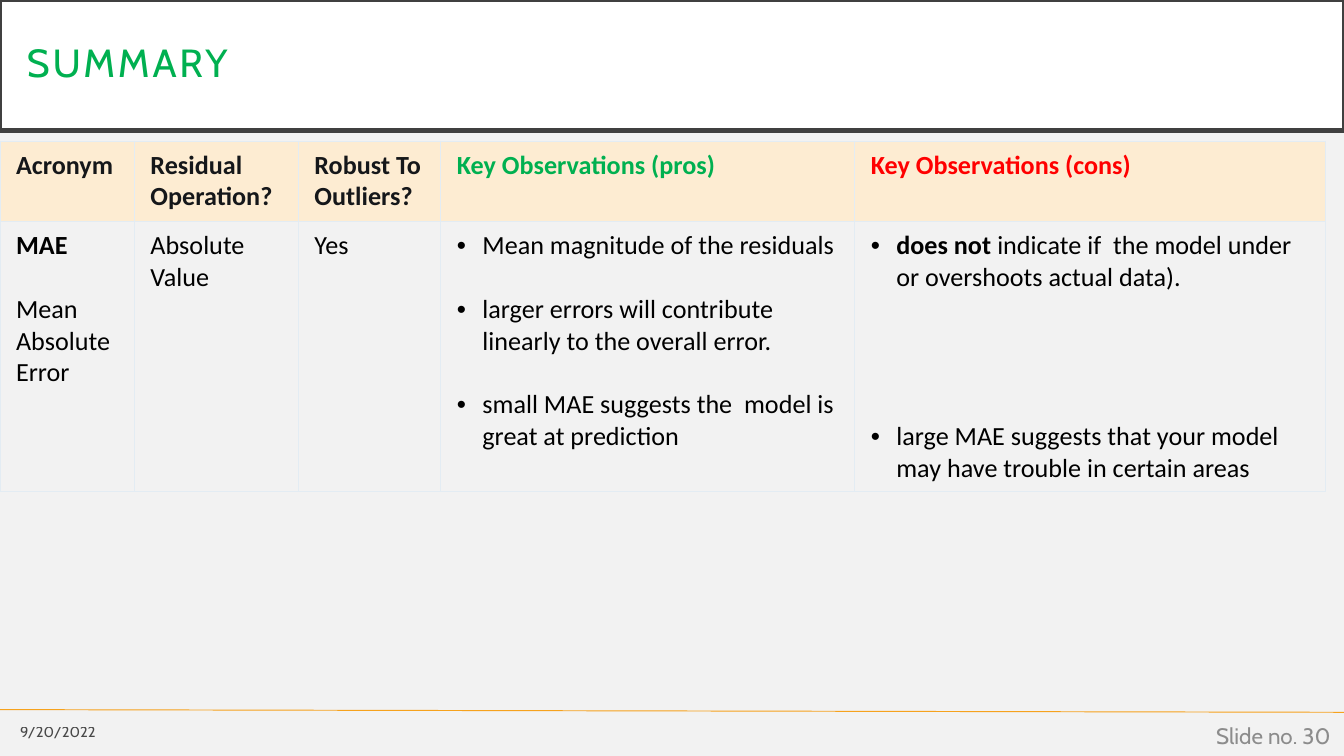
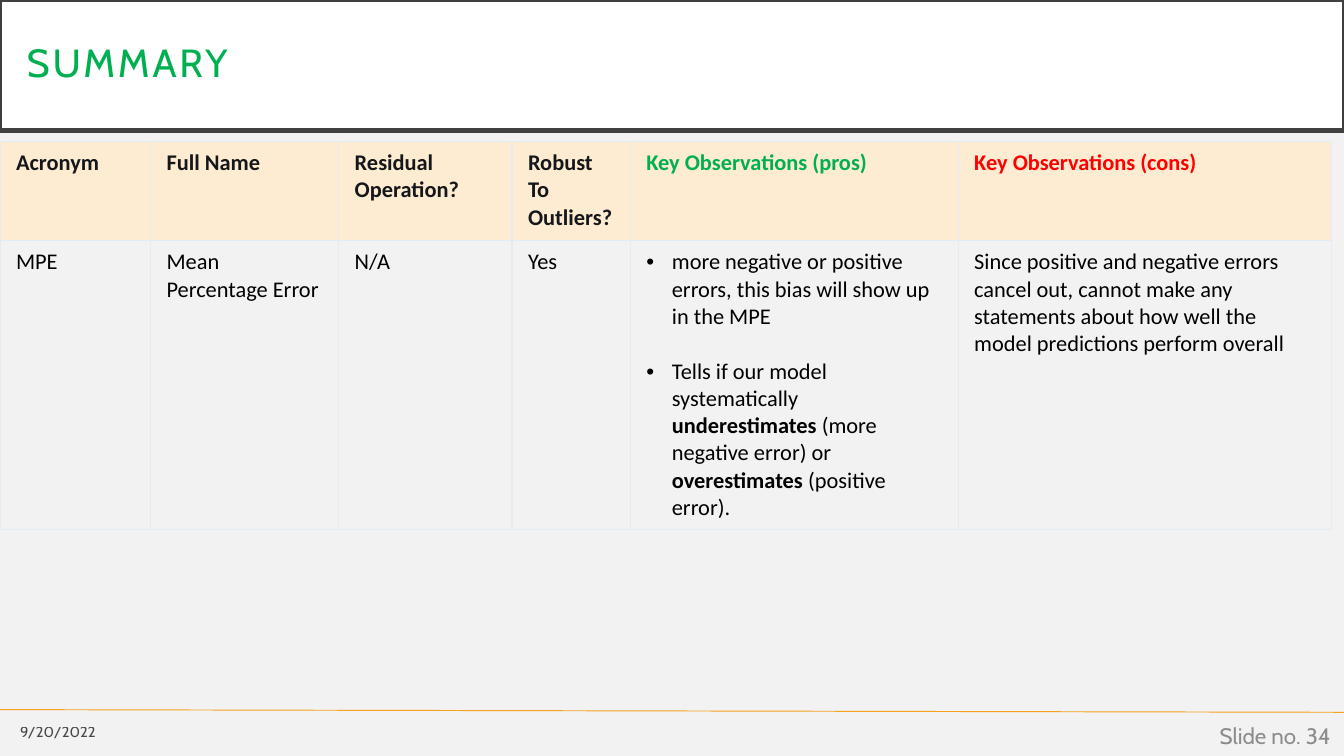
from dataclasses import dataclass

from lxml import etree
from pptx import Presentation
from pptx.dml.color import RGBColor
from pptx.enum.shapes import MSO_CONNECTOR
from pptx.enum.text import MSO_ANCHOR, MSO_AUTO_SIZE, PP_ALIGN
from pptx.oxml.ns import qn
from pptx.util import Inches, Pt

STRAIGHT = MSO_CONNECTOR.STRAIGHT
TOP, MIDDLE = MSO_ANCHOR.TOP, MSO_ANCHOR.MIDDLE
LEFT, RIGHT = PP_ALIGN.LEFT, PP_ALIGN.RIGHT
NO_AUTOFIT = MSO_AUTO_SIZE.NONE
TITLE_ONLY = 5

SLIDE_WIDTH = 10
SLIDE_HEIGHT = SLIDE_WIDTH * 9 / 16
DISPLAY_FONT, TABLE_FONT = "Cabin", "Calibri"
LINE_PITCH = 1.22  # height of a table line relative to its font size
COLORS = {
    "background": "F2F2F2",
    "band": "FFFFFF",
    "band_line": "404040",
    "pros": "00B050",
    "cons": "FF0000",
    "rule": "F6A21D",
    "date": "000000",
    "number": "8C8C8C",
    "header": "FDECD2",
    "header_text": "15171A",
    "text": "000000",
    "border": "E3ECF3",
}


@dataclass
class Entry:
    """A paragraph in a table cell; **marks** set bold, gap counts empty lines above."""
    text: str
    bullet: bool = False
    gap: int = 0


def color(name):
    return RGBColor.from_string(COLORS[name])


def format_run(run, font_name, size, color_name, bold=False):
    run.font.name = font_name
    run.font.size = Pt(size)
    run.font.bold = bold
    run.font.color.rgb = color(color_name)


def add_title_band(slide, text, box):
    title = slide.shapes.title
    title.left, title.top, title.width, title.height = map(Inches, box)
    title.fill.solid()
    title.fill.fore_color.rgb = color("band")
    title.line.color.rgb = color("band_line")
    title.line.width = Pt(2.5)
    frame = title.text_frame
    frame.text = text
    frame.word_wrap = True
    frame.auto_size = NO_AUTOFIT
    frame.vertical_anchor = MIDDLE
    frame.margin_left = frame.margin_right = Inches(0.2)
    frame.margin_top = frame.margin_bottom = Inches(0.2)
    paragraph = frame.paragraphs[0]
    paragraph.alignment = LEFT
    paragraph.line_spacing = 0.9
    run = paragraph.runs[0]
    format_run(run, DISPLAY_FONT, 21, "pros")
    run.font._element.set("spc", "150")


def add_footer_text(slide, text, box, size, color_name):
    frame = slide.shapes.add_textbox(*map(Inches, box)).text_frame
    frame.text = text
    frame.word_wrap = True
    frame.vertical_anchor = MIDDLE
    frame.paragraphs[0].alignment = RIGHT
    run = frame.paragraphs[0].runs[0]
    format_run(run, DISPLAY_FONT, size, color_name)
    return run


def add_footer(slide, number, box):
    left, top, width = box
    right = left + width
    rule = slide.shapes.add_connector(
        STRAIGHT, Inches(left), Inches(top), Inches(right), Inches(top + 0.02))
    rule.line.color.rgb = color("rule")
    rule.line.width = Pt(0.5)
    etree.SubElement(rule._element.spPr, qn("a:effectLst"))
    date = add_footer_text(
        slide, "9/20/2022", (left, top + 0.03, 0.81, 0.27), 7.9, "date")
    date_color = date.font._element.find(".//" + qn("a:srgbClr"))
    etree.SubElement(date_color, qn("a:alpha"), val="70000")
    add_footer_text(slide, f"Slide no. {number}",
                    (right - 2.25, top + 0.04, 2.25, 0.3), 12, "number")


def set_borders(cell):
    properties = cell._tc.get_or_add_tcPr()
    for side in ("a:lnL", "a:lnR", "a:lnT", "a:lnB"):
        line = etree.SubElement(properties, qn(side), w=str(Pt(0.75)))
        fill = etree.SubElement(line, qn("a:solidFill"))
        etree.SubElement(fill, qn("a:srgbClr"), val=COLORS["border"])


def add_bullet(paragraph):
    properties = paragraph._p.get_or_add_pPr()
    indent = Inches(0.19)
    properties.set("marL", str(indent))
    properties.set("indent", str(-indent))
    etree.SubElement(properties, qn("a:buFont"), typeface="Arial")
    etree.SubElement(properties, qn("a:buChar"), char="•")


def fill_cell(cell, entries, size, color_name, bold=False):
    cell.vertical_anchor = TOP
    cell.margin_left = cell.margin_right = Inches(0.12)
    cell.margin_top = cell.margin_bottom = Inches(0.06)
    frame = cell.text_frame
    for index, entry in enumerate(entries):
        paragraph = frame.add_paragraph() if index else frame.paragraphs[0]
        if entry.bullet:
            add_bullet(paragraph)
        if entry.gap:
            paragraph.space_before = Pt(round(entry.gap * LINE_PITCH * size, 1))
        for part, text in enumerate(entry.text.split("**")):
            if text:
                run = paragraph.add_run()
                run.text = text
                format_run(run, TABLE_FONT, size, color_name, bold or part % 2 == 1)


def add_summary_table(slide, position, columns, row_heights, size):
    """Each column is (width, heading, entries)."""
    left, top = position
    width = sum(column[0] for column in columns)
    table = slide.shapes.add_table(
        2, len(columns), Inches(left), Inches(top),
        Inches(width), Inches(sum(row_heights))).table
    table.first_row = table.horz_banding = False
    for row, height in zip(table.rows, row_heights):
        row.height = Inches(height)
    for index, (column_width, heading, entries) in enumerate(columns):
        table.columns[index].width = Inches(column_width)
        header, body = table.cell(0, index), table.cell(1, index)
        for cell in (header, body):
            set_borders(cell)
        header.fill.solid()
        header.fill.fore_color.rgb = color("header")
        body.fill.background()
        heading_color = {PROS: "pros", CONS: "cons"}.get(heading, "header_text")
        fill_cell(header, [Entry(heading)], size, heading_color, bold=True)
        fill_cell(body, entries, size, "text")


def add_summary_slide(presentation, number, columns, row_heights, size):
    slide = presentation.slides.add_slide(presentation.slide_layouts[TITLE_ONLY])
    add_title_band(slide, "SUMMARY", (0, 0, SLIDE_WIDTH, 0.97))
    add_footer(slide, number, (0, 5.28, SLIDE_WIDTH))
    add_summary_table(slide, (0, 1.05), columns, row_heights, size)


PROS, CONS = "Key Observations (pros)", "Key Observations (cons)"

MAE_COLUMNS = [
    (1, "Acronym", [Entry("**MAE**"), Entry("Mean Absolute Error", gap=1)]),
    (1.22, "Residual Operation?", [Entry("Absolute Value")]),
    (1.06, "Robust To Outliers?", [Entry("Yes")]),
    (3.08, PROS, [
        Entry("Mean magnitude of the residuals", True),
        Entry("larger errors will contribute linearly to the overall error.", True, 1),
        Entry("small MAE suggests the  model is great at prediction", True, 1),
    ]),
    (3.5, CONS, [
        Entry("**does not **indicate if  the model under or overshoots actual data).", True),
        Entry("large MAE suggests that your model may have trouble in certain areas", True, 4),
    ]),
]

MPE_COLUMNS = [
    (1.12, "Acronym", [Entry("MPE")]),
    (1.4, "Full Name", [Entry("Mean Percentage Error")]),
    (1.29, "Residual Operation?", [Entry("N/A")]),
    (0.88, "Robust To Outliers?", [Entry("Yes")]),
    (2.44, PROS, [
        Entry("more negative or positive errors, this bias will show up in the MPE", True),
        Entry("Tells if our model systematically **underestimates** (more negative error) "
              "or **overestimates** (positive error).", True, 1),
    ]),
    (2.78, CONS, [
        Entry("Since positive and negative errors cancel out, cannot make any statements "
              "about how well the model predictions perform overall"),
    ]),
]


def main():
    presentation = Presentation()
    presentation.slide_width = Inches(SLIDE_WIDTH)
    presentation.slide_height = Inches(SLIDE_HEIGHT)
    background = presentation.slide_master.background.fill
    background.solid()
    background.fore_color.rgb = color("background")
    add_summary_slide(presentation, 30, MAE_COLUMNS, (0.6, 2.01), 14)
    add_summary_slide(presentation, 34, MPE_COLUMNS, (0.74, 2.15), 12)
    presentation.save("out.pptx")


if __name__ == "__main__":
    main()
